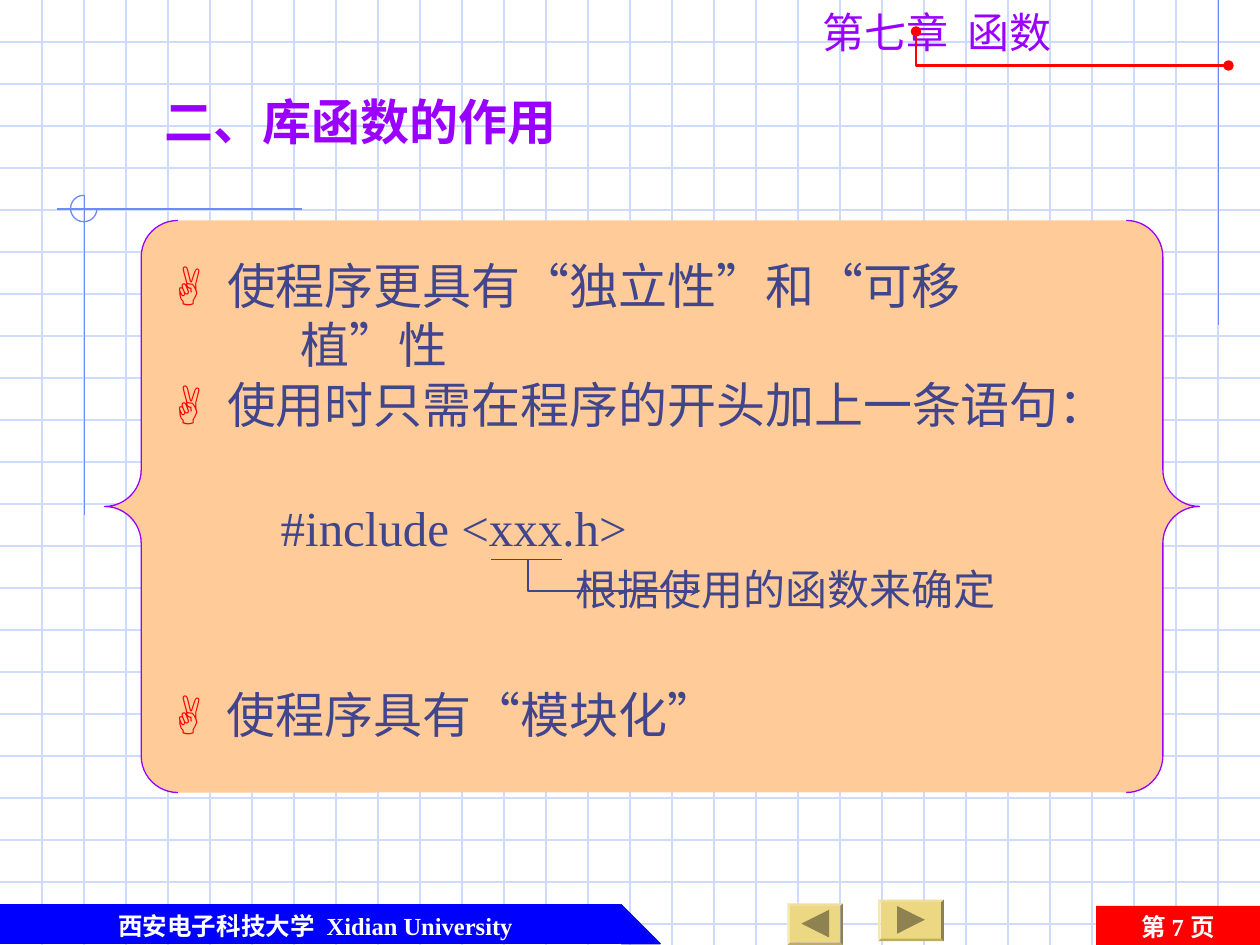
"""Build a lesson slide on the purpose of library functions."""
from dataclasses import dataclass
from itertools import groupby

from pptx import Presentation
from pptx.dml.color import RGBColor
from pptx.enum.shapes import MSO_CONNECTOR, MSO_SHAPE
from pptx.enum.text import MSO_ANCHOR, PP_ALIGN
from pptx.oxml.ns import qn
from pptx.util import Inches, Pt
from lxml.etree import SubElement

WIDTH, HEIGHT = 10, 7.5
GRID_STEP = 1 / 3
SANS, SERIF = "Noto Sans CJK SC", "Times New Roman"
WHITE = RGBColor(0xFF, 0xFF, 0xFF)
PALE_BLUE = RGBColor(0xCF, 0xDB, 0xFD)
MID_BLUE = RGBColor(0x6F, 0x89, 0xF7)
BLUE = RGBColor(0x00, 0x00, 0xFF)
RED = RGBColor(0xFF, 0x00, 0x00)
PURPLE = RGBColor(0x99, 0x00, 0xFF)
PEACH = RGBColor(0xFF, 0xCC, 0x99)
INDIGO = RGBColor(0x40, 0x45, 0x8C)
GOLD = RGBColor(0xEC, 0xD8, 0x82)
DARK_GOLD = RGBColor(0x8E, 0x82, 0x50)


@dataclass(frozen=True)
class Span:
    text: str
    size: float
    color: RGBColor
    font: str = SANS
    bold: bool = False
    tracking: float = 0


@dataclass(frozen=True)
class TextBlock:
    left: float
    top: float
    width: float
    height: float
    spans: tuple[Span, ...]
    before: float = 17.5
    align: PP_ALIGN = PP_ALIGN.LEFT


@dataclass(frozen=True)
class Button:
    left: float
    top: float
    width: float
    arrow_left: float
    arrow_top: float
    rotation: int


def apply_format(target, values: dict) -> None:
    for name, value in values.items():
        setattr(target, name, value)


def style_line(line, color: RGBColor, width: float = 0.75) -> None:
    line.color.rgb = color
    line.width = Pt(width)


def add_line(page, start: tuple, end: tuple, color: RGBColor) -> None:
    points = [Inches(value) for value in (*start, *end)]
    connector = page.shapes.add_connector(MSO_CONNECTOR.STRAIGHT, *points)
    style_line(connector.line, color)
    SubElement(connector._element.spPr, qn("a:effectLst"))


def add_shape(page, kind: MSO_SHAPE, at: tuple, fill=None, line=None):
    shape = page.shapes.add_shape(kind, *map(Inches, at))
    shape.shadow.inherit = False
    if fill is None:
        shape.fill.background()
    else:
        shape.fill.solid()
        shape.fill.fore_color.rgb = fill
    if line is None:
        shape.line.fill.background()
    else:
        style_line(shape.line, line)
    return shape


def add_elbow(page, points: list, color: RGBColor, width: float, ends: dict) -> None:
    start, *rest = [(Inches(x), Inches(y)) for x, y in points]
    builder = page.shapes.build_freeform(*start)
    builder.add_line_segments(rest, close=False)
    elbow = builder.convert_to_shape()
    elbow.shadow.inherit = False
    elbow.fill.background()
    style_line(elbow.line, color, width)
    outline = elbow._element.spPr.find(qn("a:ln"))
    for tag, kind in ends.items():
        SubElement(outline, qn(tag), type=kind)


def add_text(page, block: TextBlock) -> None:
    at = (block.left, block.top, block.width, block.height)
    box = page.shapes.add_textbox(*map(Inches, at))
    apply_format(box.text_frame, {"word_wrap": True, "vertical_anchor": MSO_ANCHOR.TOP})
    para = box.text_frame.paragraphs[0]
    apply_format(para, {"alignment": block.align, "space_before": Pt(block.before)})
    properties = para._p.get_or_add_pPr()
    properties.set("marL", str(Inches(1)))
    properties.set("indent", str(-Inches(1)))
    for span in block.spans:
        run = para.add_run()
        run.text = span.text
        apply_format(run.font, {"name": span.font, "size": Pt(span.size), "bold": span.bold})
        run.font.color.rgb = span.color
        run_properties = run._r.get_or_add_rPr()
        SubElement(run_properties, qn("a:ea"), typeface=SANS)
        if span.tracking:
            run_properties.set("spc", str(int(span.tracking * 100)))


def bullet_spans(text: str) -> tuple[Span, ...]:
    marker = Span("✌ ", 28, RED, SERIF, True, 3.5)
    pieces = groupby(text, lambda letter: letter in "“”")
    return (marker, *(Span("".join(letters), 28, INDIGO, SERIF if quoted else SANS)
                      for quoted, letters in pieces))


def add_button(page, button: Button) -> None:
    at = (button.left, button.top, button.width, 0.33)
    bevel = add_shape(page, MSO_SHAPE.BEVEL, at, GOLD)
    bevel.adjustments[0] = 0.06
    arrow_at = (button.arrow_left, button.arrow_top, 0.22, 0.22)
    arrow = add_shape(page, MSO_SHAPE.ISOSCELES_TRIANGLE, arrow_at, DARK_GOLD)
    arrow.rotation = button.rotation


def draw_background(page) -> None:
    for row in range(1, 23):
        add_line(page, (0, row * GRID_STEP), (WIDTH, row * GRID_STEP), PALE_BLUE)
    for column in range(1, 30):
        add_line(page, (column * GRID_STEP, 0), (column * GRID_STEP, HEIGHT), PALE_BLUE)
    add_line(page, (9.67, 0), (9.67, 2.58), MID_BLUE)
    add_line(page, (0.45, 1.66), (2.4, 1.66), MID_BLUE)
    add_line(page, (0.67, 1.55), (0.67, 4.09), MID_BLUE)
    arc = add_shape(page, MSO_SHAPE.ARC, (0.56, 1.55, 0.21, 0.21), line=MID_BLUE)
    arc.adjustments[0], arc.adjustments[1] = 0, 162


def draw_footer(page) -> None:
    add_shape(page, MSO_SHAPE.RECTANGLE, (0, 7.18, 4.92, 0.31), BLUE, BLUE)
    add_shape(page, MSO_SHAPE.RIGHT_TRIANGLE, (4.93, 7.18, 0.31, 0.31), BLUE, BLUE)
    add_shape(page, MSO_SHAPE.RECTANGLE, (8.7, 7.19, 1.3, 0.31), RED)
    school = (Span("西安电子科技大学", 14, WHITE, SERIF, True),
              Span(" ", 14, WHITE, SERIF, True, 3.5),
              Span("Xidian University", 14, WHITE, SERIF, True))
    number = (Span("第 ", 14, WHITE, SANS, True), Span("7 ", 14, WHITE, SERIF, True),
              Span("页", 14, WHITE, SANS, True))
    add_text(page, TextBlock(0.29, 7.18, 4.43, 0.31, school, 8.8, PP_ALIGN.CENTER))
    add_text(page, TextBlock(8.7, 7.19, 1.3, 0.31, number, 8.8, PP_ALIGN.CENTER))
    for button in (Button(6.97, 7.14, 0.52, 7.12, 7.19, 90),
                   Button(6.25, 7.17, 0.44, 6.36, 7.22, 270)):
        add_button(page, button)


def draw_content(page) -> None:
    brace = add_shape(page, MSO_SHAPE.DOUBLE_BRACE, (0.83, 1.75, 8.69, 4.54), PEACH, PURPLE)
    brace.adjustments[0] = 0.064
    chapter = (Span("第七章", 24, PURPLE), Span(" ", 24, PURPLE, tracking=5.4),
               Span("函数", 24, PURPLE))
    blocks = (
        TextBlock(1.21, 0.68, 4.7, 0.57, (Span("二、库函数的作用", 28, PURPLE, bold=True),)),
        TextBlock(1.29, 1.98, 7.02, 1.04, bullet_spans("使程序更具有“独立性”和“可移植”性")),
        TextBlock(1.29, 2.92, 8.12, 0.57, bullet_spans("使用时只需在程序的开头加上一条语句：")),
        TextBlock(2.13, 3.9, 5.87, 0.57, (Span("#include <xxx.h>", 28, INDIGO, SERIF),)),
        TextBlock(4.47, 4.42, 5.53, 0.5, (Span("根据使用的函数来确定", 24, INDIGO, SERIF),), 0),
        TextBlock(1.29, 5.38, 4.73, 0.57, bullet_spans("使程序具有“模块化”")),
        TextBlock(6.43, 0, 3.57, 0.5, chapter, 0),
    )
    for block in blocks:
        add_text(page, block)
    add_line(page, (3.9, 4.44), (4.46, 4.44), INDIGO)
    add_elbow(page, [(4.19, 4.44), (4.19, 4.69), (5.56, 4.69)], INDIGO, 0.75,
              {"a:tailEnd": "stealth"})
    add_elbow(page, [(7.27, 0.25), (7.27, 0.52), (9.75, 0.52)], RED, 1.5,
              {"a:headEnd": "oval", "a:tailEnd": "oval"})


def main() -> None:
    deck = Presentation()
    apply_format(deck, {"slide_width": Inches(WIDTH), "slide_height": Inches(HEIGHT)})
    page = deck.slides.add_slide(deck.slide_layouts[6])
    draw_background(page)
    draw_footer(page)
    draw_content(page)
    deck.save("out.pptx")


if __name__ == "__main__":
    main()
